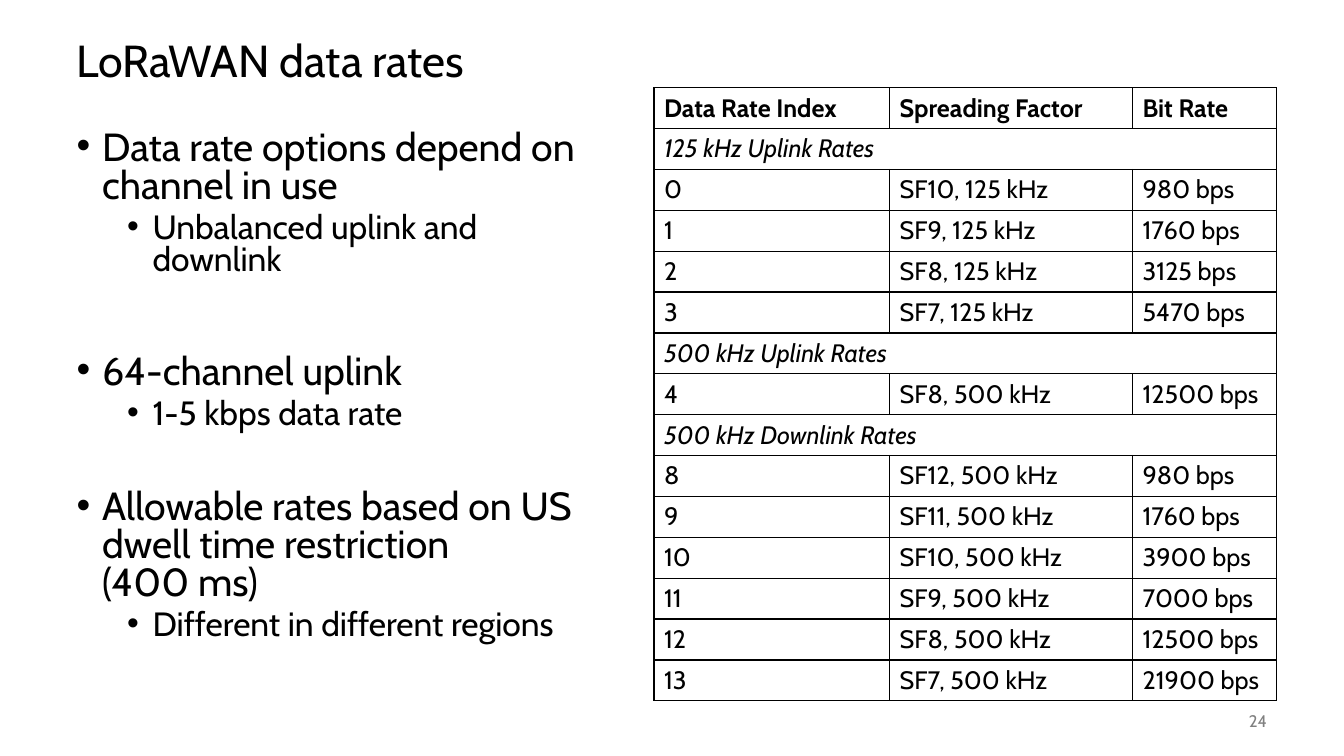
from lxml.etree import SubElement
from pptx import Presentation
from pptx.dml.color import RGBColor
from pptx.enum.text import MSO_ANCHOR as Anchor, MSO_AUTO_SIZE as AutoSize, PP_ALIGN as Align
from pptx.oxml.ns import qn
from pptx.util import Cm, Pt

BLACK = RGBColor(0, 0, 0)
WHITE = RGBColor(255, 255, 255)
GRAY = RGBColor(0x80, 0x80, 0x80)

# Bullets: level, space before in points, text
BULLETS = [
    (0, 0, "Data rate options depend on channel in use"),
    (1, 5, "Unbalanced uplink and downlink"),
    (0, 55, "64-channel uplink"),
    (1, 5, "1-5 kbps data rate"),
    (0, 42, "Allowable rates based on US dwell time restriction\n(400 ms)"),
    (1, 5, "Different in different regions"),
]
BULLET_SIZES = (28, 24)
BULLET_MARGINS = (0.64, 1.91)

# Table rows: a row with one entry spans all columns
RATES = [
    ("Data Rate Index", "Spreading Factor", "Bit Rate"),
    ("125 kHz Uplink Rates",),
    ("0", "SF10, 125 kHz", "980 bps"),
    ("1", "SF9, 125 kHz", "1760 bps"),
    ("2", "SF8, 125 kHz", "3125 bps"),
    ("3", "SF7, 125 kHz", "5470 bps"),
    ("500 kHz Uplink Rates",),
    ("4", "SF8, 500 kHz", "12500 bps"),
    ("500 kHz Downlink Rates",),
    ("8", "SF12, 500 kHz", "980 bps"),
    ("9", "SF11, 500 kHz", "1760 bps"),
    ("10", "SF10, 500 kHz", "3900 bps"),
    ("11", "SF9, 500 kHz", "7000 bps"),
    ("12", "SF8, 500 kHz", "12500 bps"),
    ("13", "SF7, 500 kHz", "21900 bps"),
]
COLUMN_WIDTHS = (5.94, 6.12, 3.63)
ROW_HEIGHT = 1.03


def assign(target, values):
    for name, value in values.items():
        setattr(target, name, value)


class SlideBuilder:
    """Holds the text style and the slide being filled."""

    font_name = "Cabin"

    def __init__(self, page):
        self.page = page

    def place(self, box, left, top, width, height):
        assign(box, {"left": Cm(left), "top": Cm(top),
                     "width": Cm(width), "height": Cm(height)})

    def fill_text(self, para, text, size, color=BLACK, **style):
        para.text = text
        for span in para.runs:
            assign(span.font, {"name": self.font_name, "size": Pt(size), **style})
            span.font.color.rgb = color

    def title(self, text, area):
        box = self.page.shapes.title
        self.place(box, *area)
        assign(box.text_frame, {"vertical_anchor": Anchor.MIDDLE,
                                "auto_size": AutoSize.NONE})
        para = box.text_frame.paragraphs[0]
        assign(para, {"alignment": Align.LEFT, "line_spacing": 0.9})
        self.fill_text(para, text, 32)

    def bullets(self, items, area):
        box = self.page.placeholders[1]
        self.place(box, *area)
        frame = box.text_frame
        assign(frame, {"auto_size": AutoSize.NONE, "word_wrap": True})
        for number, (level, gap, text) in enumerate(items):
            para = frame.add_paragraph() if number else frame.paragraphs[0]
            props = para._p.get_or_add_pPr()
            props.set("marL", str(Cm(BULLET_MARGINS[level])))
            props.set("indent", str(-Cm(0.64)))
            SubElement(props, qn("a:buChar")).set("char", "•")
            assign(para, {"level": level, "space_before": Pt(gap),
                          "line_spacing": 0.8})
            self.fill_text(para, text, BULLET_SIZES[level])

    def border(self, cell):
        props = cell._tc.get_or_add_tcPr()
        for side in ("lnL", "lnR", "lnT", "lnB"):
            line = SubElement(props, qn(f"a:{side}"), w=str(Pt(1)))
            fill = SubElement(line, qn("a:solidFill"))
            SubElement(fill, qn("a:srgbClr"), val=str(BLACK))

    def table(self, rows, left, top):
        frame = self.page.shapes.add_table(
            len(rows), len(COLUMN_WIDTHS), Cm(left), Cm(top),
            Cm(sum(COLUMN_WIDTHS)), Cm(ROW_HEIGHT * len(rows)))
        grid = frame.table
        assign(grid, {"first_row": False, "horz_banding": False})
        for column, width in zip(grid.columns, COLUMN_WIDTHS):
            column.width = Cm(width)
        for cell in grid.iter_cells():
            self.border(cell)
            cell.fill.solid()
            cell.fill.fore_color.rgb = WHITE
        for index, entries in enumerate(rows):
            grid.rows[index].height = Cm(ROW_HEIGHT)
            section = len(entries) == 1
            if section:
                grid.cell(index, 0).merge(grid.cell(index, len(COLUMN_WIDTHS) - 1))
            for column, text in enumerate(entries):
                para = grid.cell(index, column).text_frame.paragraphs[0]
                self.fill_text(para, text, 18, bold=index == 0, italic=section)

    def page_number(self, text, area):
        box = self.page.shapes.add_textbox(*map(Cm, area))
        assign(box.text_frame, {"word_wrap": True,
                                "vertical_anchor": Anchor.MIDDLE})
        para = box.text_frame.paragraphs[0]
        para.alignment = Align.RIGHT
        self.fill_text(para, text, 12, GRAY)


def main():
    deck = Presentation()
    assign(deck, {"slide_width": Cm(33.87), "slide_height": Cm(19.05)})
    builder = SlideBuilder(deck.slides.add_slide(deck.slide_layouts[1]))

    # Heading and left column
    builder.title("LoRaWAN data rates", (1.68, 0.64, 30.48, 1.9))
    builder.bullets(BULLETS, (1.68, 3.18, 13.31, 13.97))

    # Right column and footer
    builder.table(RATES, 16.48, 2.21)
    builder.page_number("24", (29.64, 17.65, 2.54, 1.02))

    deck.save("out.pptx")


if __name__ == "__main__":
    main()
